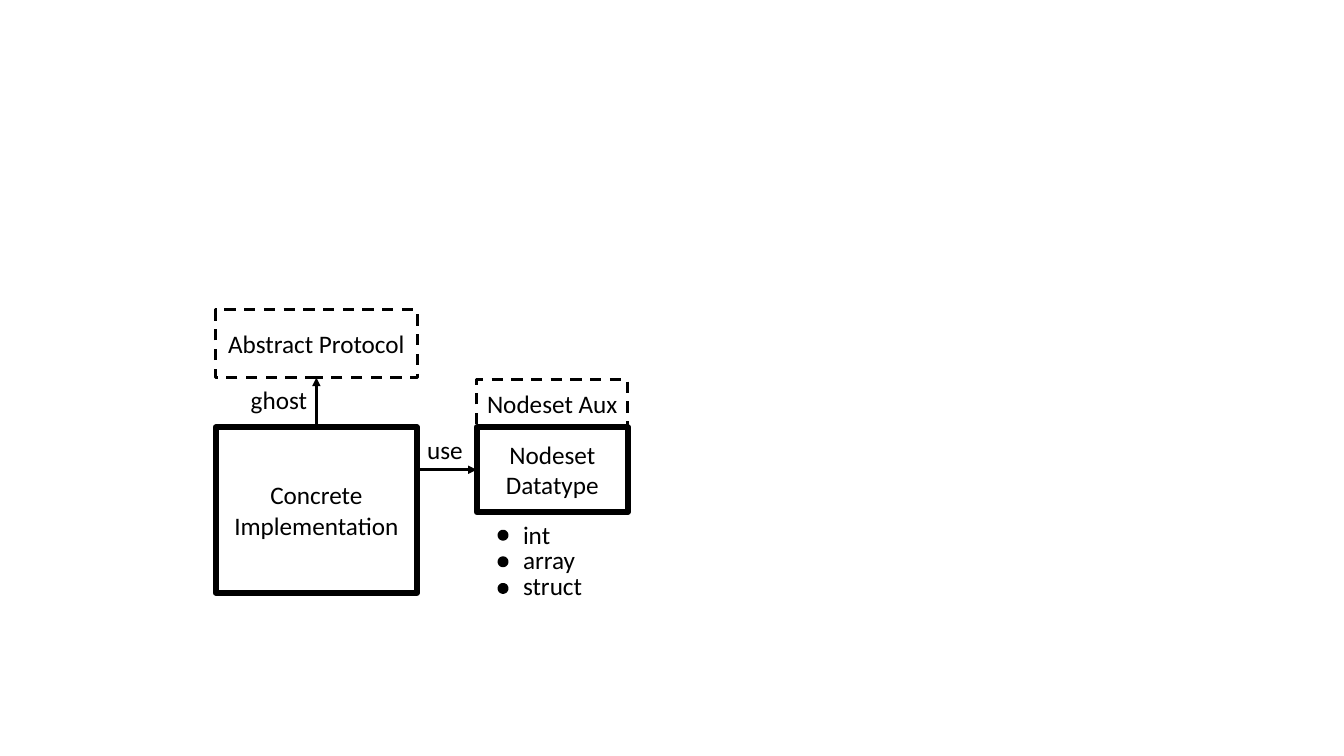
import pptx
import pptx.dml.color
import pptx.enum.dml
import pptx.enum.shapes
import pptx.enum.text
import pptx.oxml
import pptx.oxml.ns
import pptx.util

Pt = pptx.util.Pt
SHAPES = pptx.enum.shapes.MSO_SHAPE
ALIGN = pptx.enum.text.PP_ALIGN
ANCHOR = pptx.enum.text.MSO_ANCHOR
BLACK = pptx.dml.color.RGBColor(0x00, 0x00, 0x00)
FONT, TEXT_SIZE = "Calibri", 18
THICK, THIN = 4.25, 2
LABEL_HEIGHT = 29


def write(frame, wording, align):
    """Put one styled run into the first paragraph of a text frame."""
    frame.word_wrap = True
    paragraph = frame.paragraphs[0]
    paragraph.alignment = align
    run = paragraph.add_run()
    run.text = wording
    run.font.name = FONT
    run.font.size = Pt(TEXT_SIZE)
    run.font.color.rgb = BLACK


def outline(slide, kind, box, weight):
    """Draw an unfilled black outline of the given kind and return it."""
    shape = slide.shapes.add_shape(kind, *map(Pt, box))
    shape.shadow.inherit = False
    shape.fill.background()
    shape.line.color.rgb = BLACK
    shape.line.width = Pt(weight)
    return shape


def component(slide, box, wording, ghost=False):
    """Draw a named component, dashed when it is ghost code."""
    frame = outline(slide, SHAPES.RECTANGLE, box, THIN if ghost else THICK)
    if ghost:
        frame.line.dash_style = pptx.enum.dml.MSO_LINE.DASH
    text = frame.text_frame
    text.margin_left = text.margin_top = text.margin_right = text.margin_bottom = 0
    text.vertical_anchor = ANCHOR.MIDDLE
    write(text, wording, ALIGN.CENTER)


def label(slide, left, top, width, wording):
    """Place a left-aligned one-line label."""
    box = slide.shapes.add_textbox(Pt(left), Pt(top), Pt(width), Pt(LABEL_HEIGHT))
    write(box.text_frame, wording, ALIGN.LEFT)


def arrow(slide, start, end):
    """Draw a black arrow from start to end."""
    link = slide.shapes.add_connector(
        pptx.enum.shapes.MSO_CONNECTOR.STRAIGHT, *map(Pt, (*start, *end)))
    link.line.color.rgb = BLACK
    link.line.width = Pt(THIN)
    head = pptx.oxml.parse_xml(
        f'<a:tailEnd {pptx.oxml.ns.nsdecls("a")} type="triangle"/>')
    link.line._get_or_add_ln().append(head)
    properties = link._element.spPr
    properties.append(pptx.oxml.parse_xml(
        f'<a:effectLst {pptx.oxml.ns.nsdecls("a")}/>'))


def implementation(slide, left, top, width, height):
    """Draw the implementation with its abstract protocol above."""
    gap, protocol_height = 35.5, 48.5
    middle = left + width / 2
    component(slide, (left, top, width, height), "Concrete Implementation")
    component(slide, (left, top - gap - protocol_height, width, protocol_height),
              "Abstract Protocol", ghost=True)
    arrow(slide, (middle, top), (middle, top - gap))
    label(slide, left + 18, top - 34, 131, "ghost")


def nodeset(slide, left, top, width, height):
    """Draw the nodeset datatype, its auxiliary part and its member types."""
    aux_height, dot = 34, 3.6
    component(slide, (left, top, width, height), "Nodeset Datatype")
    component(slide, (left, top - aux_height, width, aux_height),
              "Nodeset Aux", ghost=True)
    for row, member in enumerate(("int", "array", "struct")):
        outline(slide, SHAPES.FLOWCHART_CONNECTOR,
                (left + 17, top + 75.2 + 19 * row, dot, dot), THICK)
        label(slide, left + 26, top + 61.8 + 18.4 * row, 82, member)


def use_link(slide, left, top, width, height):
    """Draw the use arrow across the foot of its box, labelled above."""
    arrow(slide, (left, top + height), (left + width, top + height))
    label(slide, left, top + 1.5, 59, "use")


def main():
    """Build the architecture slide and save it."""
    deck = pptx.Presentation()
    deck.slide_width, deck.slide_height = Pt(960), Pt(540)
    slide = deck.slides.add_slide(deck.slide_layouts[6])
    left, top, width = 154, 305.3, 144
    link_width, nodeset_height = 42.5, 60.5
    right = left + width
    implementation(slide, left, top, width, 118)
    nodeset(slide, right + link_width, top, 108, nodeset_height)
    use_link(slide, right, top, link_width, nodeset_height / 2)
    deck.save("out.pptx")


if __name__ == "__main__":
    main()
